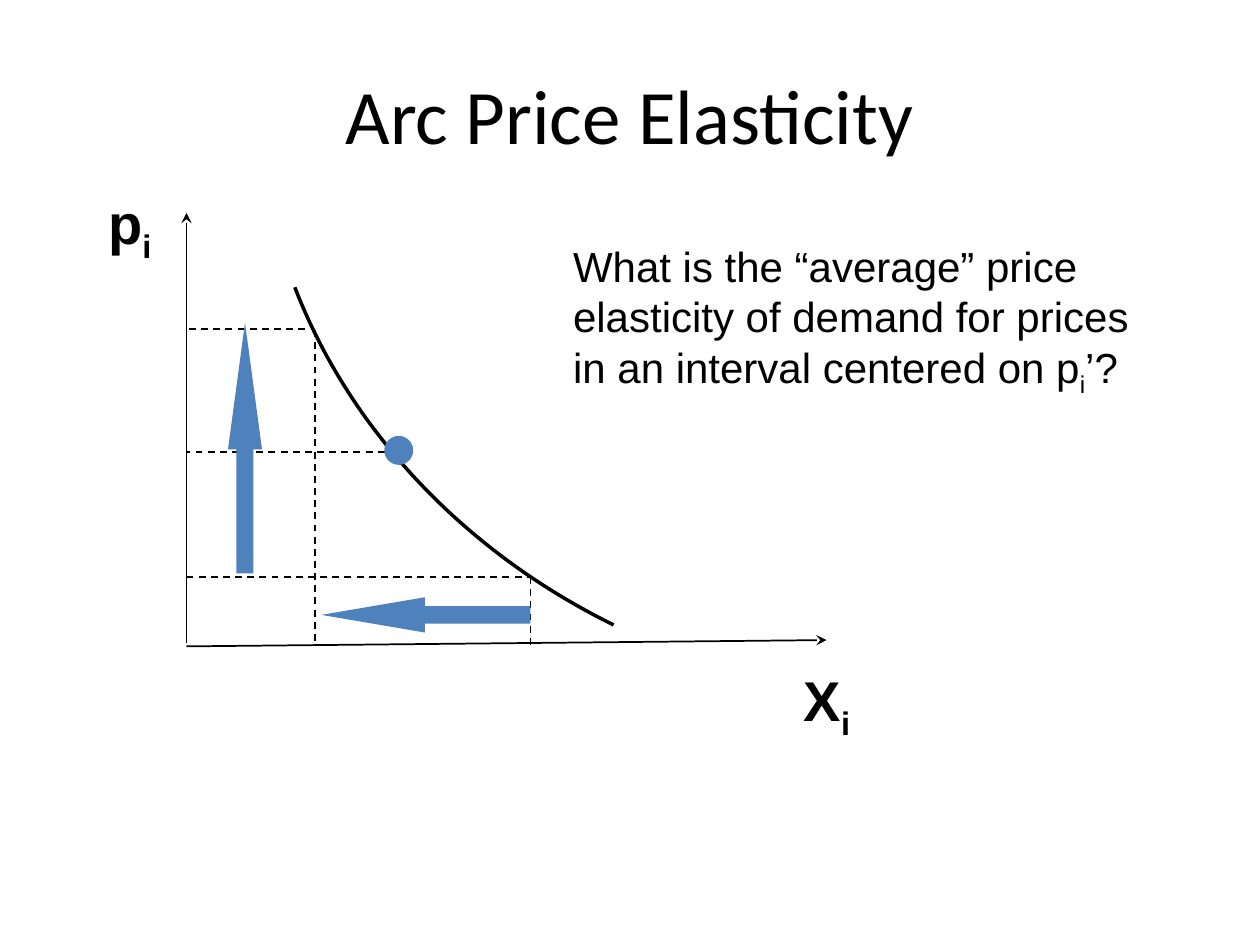
from dataclasses import dataclass

from lxml import etree
from pptx import Presentation
from pptx.dml.color import RGBColor
from pptx.enum.dml import MSO_LINE
from pptx.enum.shapes import MSO_CONNECTOR, MSO_SHAPE
from pptx.enum.text import MSO_ANCHOR, MSO_AUTO_SIZE, PP_ALIGN
from pptx.oxml.ns import qn
from pptx.util import Emu, Pt

STRAIGHT = MSO_CONNECTOR.STRAIGHT
DASH = MSO_LINE.DASH
LEFT_ARROW, UP_ARROW, OVAL = MSO_SHAPE.LEFT_ARROW, MSO_SHAPE.UP_ARROW, MSO_SHAPE.OVAL
MIDDLE, TOP = MSO_ANCHOR.MIDDLE, MSO_ANCHOR.TOP
CENTER, LEFT = PP_ALIGN.CENTER, PP_ALIGN.LEFT
FIT, NO_FIT = MSO_AUTO_SIZE.SHAPE_TO_FIT_TEXT, MSO_AUTO_SIZE.NONE

EMU_PER_PX = 9144


@dataclass(frozen=True)
class Theme:
    ink: RGBColor = RGBColor(0x00, 0x00, 0x00)
    accent: RGBColor = RGBColor(0x4F, 0x81, 0xBD)
    title_font: str = "Calibri"
    body_font: str = "Arial"
    title_size: int = 44
    axis_size: int = 32
    body_size: int = 24
    thin: int = 1
    thick: int = 2


@dataclass(frozen=True)
class Label:
    box: tuple[int, int, int, int]
    runs: tuple[str, ...]
    size: int
    font: str
    bold: bool = False
    title: bool = False


@dataclass(frozen=True)
class Line:
    start: tuple[int, int]
    end: tuple[int, int]
    dashed: bool = False
    arrow: str = ""


@dataclass(frozen=True)
class Marker:
    kind: MSO_SHAPE
    box: tuple[int, int, int, int]
    adjustments: tuple[float, ...] = ()


THEME = Theme()
SUBSCRIPT = "i"

TITLE = Label((50, 28, 900, 125), ("Arc Price Elasticity",),
              THEME.title_size, THEME.title_font, title=True)
LABELS = (
    Label((76, 145, 55, 63), ("p", SUBSCRIPT), THEME.axis_size, THEME.body_font, bold=True),
    Label((628, 523, 58, 63), ("X", SUBSCRIPT), THEME.axis_size, THEME.body_font, bold=True),
    Label((445, 186, 461, 130),
          ("What is the “average” price\nelasticity of demand for prices\n"
           "in an interval centered on p", SUBSCRIPT, "’?"),
          THEME.body_size, THEME.body_font),
)
AXES = (
    Line((148, 169), (148, 510), arrow="a:headEnd"),
    Line((148, 513), (656, 508), arrow="a:tailEnd"),
)
GUIDES = (
    Line((315, 359), (148, 359), dashed=True),
    Line((150, 261), (248, 261), dashed=True),
    Line((148, 458), (421, 458), dashed=True),
    Line((250, 262), (250, 512), dashed=True),
    Line((421, 458), (421, 512), dashed=True),
)
DEMAND = ((487, 496), (369, 438), (278, 342), (234, 228))
MARKERS = (
    Marker(LEFT_ARROW, (255, 474, 166, 28), (0.5, 2.94)),
    Marker(OVAL, (305, 346, 23, 23)),
    Marker(UP_ARROW, (181, 256, 27, 199), (0.5, 3.73)),
)


def px(n: float) -> Emu:
    return Emu(round(n * EMU_PER_PX))


def add_label(slide, label: Label) -> None:
    sp = slide.shapes.add_textbox(*map(px, label.box))
    tf = sp.text_frame
    tf.word_wrap = label.title
    tf.auto_size = NO_FIT if label.title else FIT
    tf.vertical_anchor = MIDDLE if label.title else TOP
    p = tf.paragraphs[0]
    p.alignment = CENTER if label.title else LEFT
    for text in label.runs:
        for i, part in enumerate(text.split("\n")):
            if i:
                p.add_line_break()
            r = p.add_run()
            r.text = part
            r.font.size = Pt(label.size)
            r.font.name = label.font
            r.font.bold = label.bold
            r.font.color.rgb = THEME.ink
            if text == SUBSCRIPT:
                r.font._element.set("baseline", "-25000")


def add_line(slide, line: Line) -> None:
    cxn = slide.shapes.add_connector(STRAIGHT, *map(px, line.start + line.end))
    cxn.line.color.rgb = THEME.ink
    cxn.line.width = Pt(THEME.thin)
    if line.dashed:
        cxn.line.dash_style = DASH
    if line.arrow:
        etree.SubElement(cxn.line._get_or_add_ln(), qn(line.arrow), type="stealth")
    etree.SubElement(cxn._element.spPr, qn("a:effectLst"))


def bezier(points: tuple[tuple[int, int], ...], t: float) -> tuple[float, float]:
    u = 1 - t
    weights = (u ** 3, 3 * u * u * t, 3 * u * t * t, t ** 3)
    x, y = (sum(w * c for w, c in zip(weights, axis)) for axis in zip(*points))
    return x, y


def add_curve(slide, points: tuple[tuple[int, int], ...], steps: int = 48) -> None:
    start, *rest = [tuple(map(px, bezier(points, i / steps))) for i in range(steps + 1)]
    builder = slide.shapes.build_freeform(*start)
    builder.add_line_segments(rest, close=False)
    sp = builder.convert_to_shape()
    sp.fill.background()
    sp.line.color.rgb = THEME.ink
    sp.line.width = Pt(THEME.thick)
    sp.shadow.inherit = False


def add_marker(slide, marker: Marker) -> None:
    sp = slide.shapes.add_shape(marker.kind, *map(px, marker.box))
    for i, value in enumerate(marker.adjustments):
        sp.adjustments[i] = value
    sp.fill.solid()
    sp.fill.fore_color.rgb = THEME.accent
    sp.line.fill.background()
    sp.shadow.inherit = False


def main() -> None:
    prs = Presentation()
    prs.slide_width, prs.slide_height = px(1000), px(750)
    slide = prs.slides.add_slide(prs.slide_layouts[6])
    add_label(slide, TITLE)
    for line in AXES + GUIDES:
        add_line(slide, line)
    add_curve(slide, DEMAND)
    for label in LABELS:
        add_label(slide, label)
    for marker in MARKERS:
        add_marker(slide, marker)
    prs.save("out.pptx")


if __name__ == "__main__":
    main()
